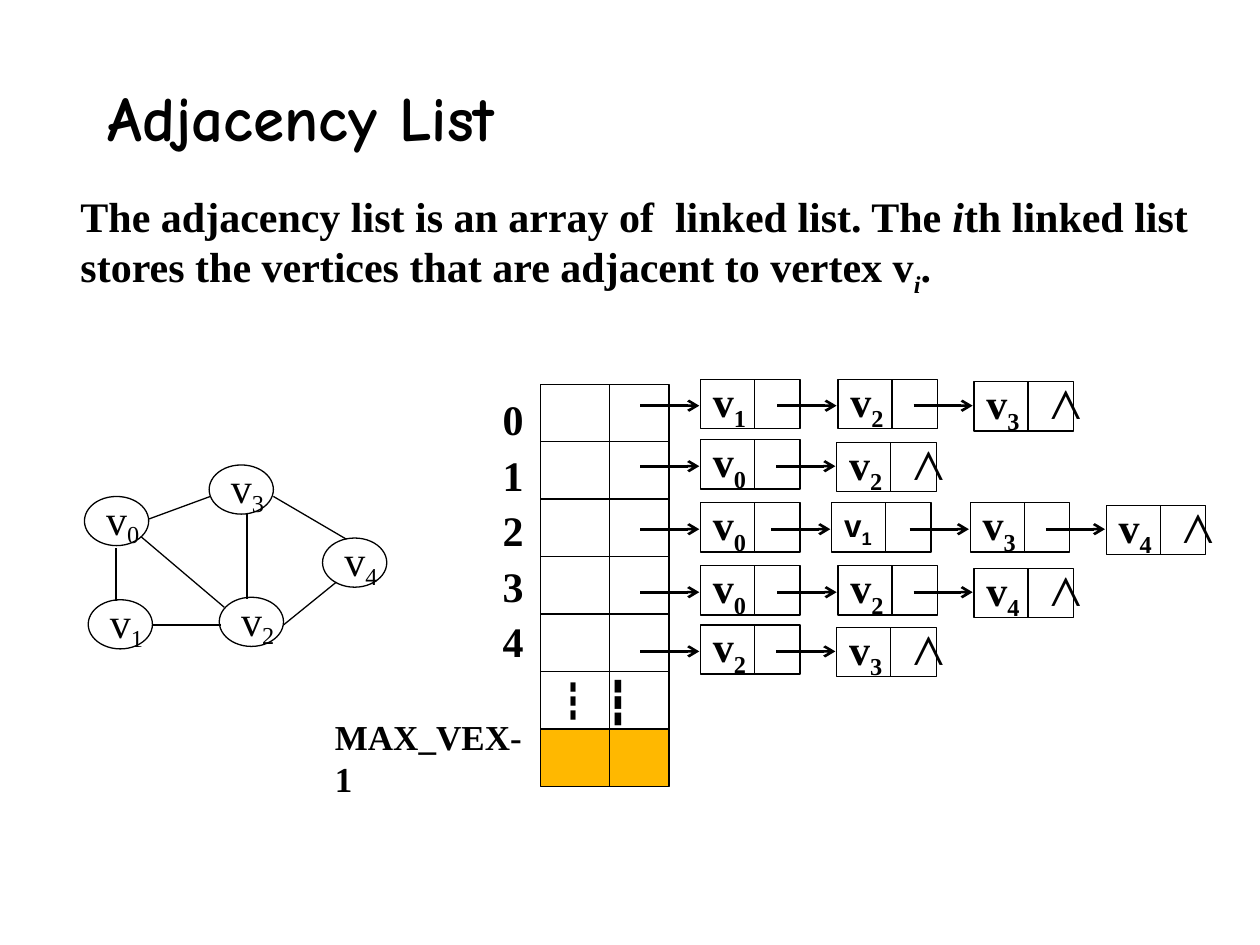
from lxml.etree import SubElement
from pptx import Presentation
from pptx.dml.color import RGBColor
from pptx.enum.shapes import MSO_CONNECTOR, MSO_SHAPE
from pptx.enum.text import MSO_ANCHOR, MSO_AUTO_SIZE, PP_ALIGN
from pptx.oxml.ns import qn
from pptx.util import Inches, Pt

COLORS = {name: RGBColor.from_string(value) for name, value in
          {"ink": "000000", "last_slot": "FFB800"}.items()}
SERIF = "Times New Roman"

deck = Presentation()
deck.slide_width, deck.slide_height = Inches(10), Inches(7.5)
page = deck.slides.add_slide(deck.slide_layouts[5])


def add_line(x1, y1, x2, y2, weight=0.75, arrow=False):
    line = page.shapes.add_connector(
        MSO_CONNECTOR.STRAIGHT, Inches(x1), Inches(y1), Inches(x2), Inches(y2))
    line.line.color.rgb = COLORS["ink"]
    line.line.width = Pt(weight)
    if arrow:
        SubElement(line.line._get_or_add_ln(), qn("a:tailEnd"), type="arrow")
    SubElement(line._element.spPr, qn("a:effectLst"))


def add_box(kind, left, top, width, height, parts=(), size=24, font=SERIF, bold=True):
    """Add an outlined shape, or a text box if kind is None.

    Each part is (text, baseline shift in percent).
    """
    place = [Inches(value) for value in (left, top, width, height)]
    if kind is None:
        box = page.shapes.add_textbox(*place)
    else:
        box = page.shapes.add_shape(kind, *place)
        box.shadow.inherit = False
        box.fill.background()
        box.line.color.rgb = COLORS["ink"]
        box.line.width = Pt(0.75)
    frame = box.text_frame
    frame.word_wrap = False
    frame.vertical_anchor = MSO_ANCHOR.MIDDLE
    para = frame.paragraphs[0]
    para.alignment = PP_ALIGN.LEFT
    for text, shift in parts:
        span = para.add_run()
        span.text = text
        span.font.size, span.font.name, span.font.bold = Pt(size), font, bold
        span.font.color.rgb = COLORS["ink"]
        if shift:
            span._r.get_or_add_rPr().set("baseline", str(shift * 1000))
    return box


# Title and definition
title = page.shapes.title
title.left, title.top, title.width, title.height = (
    Inches(value) for value in (0.04, 0.52, 4.7, 0.75))
title.text_frame.text = "Adjacency List"
title.text_frame.auto_size = MSO_AUTO_SIZE.NONE
title.text_frame.vertical_anchor = MSO_ANCHOR.BOTTOM
para = title.text_frame.paragraphs[0]
para.alignment = PP_ALIGN.CENTER
para.font.name, para.font.size, para.font.bold = "Comic Neue", Pt(36), True
para.font.color.rgb = COLORS["ink"]

definition = add_box(None, 0.54, 1.46, 8.99, 0.91, [
    ("The adjacency list is an array of  linked list. The ", 0), ("i", 0),
    ("th linked list stores the vertices that are adjacent to vertex v", 0),
    ("i", -25), (".", 0)])
definition.text_frame.word_wrap = True
definition.text_frame.vertical_anchor = MSO_ANCHOR.TOP
for span in definition.text_frame.paragraphs[0].runs:
    span.font.italic = span.text == "i"

# Graph
vertices = [(0.67, 3.94), (0.7, 4.76), (1.74, 4.74), (1.66, 3.69), (2.56, 4.27)]
for number, (left, top) in enumerate(vertices):
    add_box(MSO_SHAPE.OVAL, left, top, 0.51, 0.39,
            [("v", 0), (str(number), -20)], bold=False)
edges = [
    (0.92, 4.35, 0.92, 4.77, 1.5),
    (1.96, 4.08, 1.96, 4.75, 1.5),
    (1.12, 4.26, 1.78, 4.82),
    (1.18, 4.12, 1.67, 3.94),
    (1.21, 4.96, 1.75, 4.96),
    (2.17, 3.94, 2.75, 4.28),
    (2.25, 4.96, 2.67, 4.62),
]
for edge in edges:
    add_line(*edge)

# Array of list heads with its indices
indices = add_box(None, 3.89, 3.03, 0.39, 2.31).text_frame
for number in range(5):
    para = indices.add_paragraph() if number else indices.paragraphs[0]
    para.text = str(number)
    para.line_spacing = 1.1
    para.font.name, para.font.size, para.font.bold = SERIF, Pt(24), True
    para.font.color.rgb = COLORS["ink"]
add_box(None, 2.56, 5.82, 1.73, 0.39, [("MAX_VEX-1", 0)], size=20)

SLOT_HEIGHT = 0.456
for slot in range(7):
    top = 3.05 + slot * SLOT_HEIGHT
    dots = [("┇", 0), (" ┇", 0)] if slot == 5 else []
    box = add_box(MSO_SHAPE.RECTANGLE, 4.29, top, 1.02, SLOT_HEIGHT, dots)
    if dots:
        box.text_frame.paragraphs[0].runs[0].font.name = "Noto Sans CJK SC"
    if slot == 6:
        box.fill.solid()
        box.fill.fore_color.rgb = COLORS["last_slot"]
    add_line(4.84, top, 4.84, top + SLOT_HEIGHT)

# Linked lists: top of the row, then (left, vertex) of each node
linked_lists = [
    (3.01, [(5.56, 1), (6.65, 2), (7.73, 3)]),
    (3.49, [(5.56, 0), (6.64, 2)]),
    (3.99, [(5.56, 0), (6.6, 1), (7.7, 3), (8.78, 4)]),
    (4.49, [(5.56, 0), (6.65, 2), (7.73, 4)]),
    (4.96, [(5.56, 2), (6.64, 3)]),
]
for row, (top, nodes) in enumerate(linked_lists):
    for position, (left, vertex) in enumerate(nodes):
        is_last = position == len(nodes) - 1
        node_top = top + 0.02 if is_last else top
        parts = [("v", 0), (str(vertex), -25)]
        if is_last:
            parts.append(("\t⋀", 0))
        style = {"size": 18, "font": "Arial"} if (row, position) == (2, 1) else {}
        node = add_box(MSO_SHAPE.RECTANGLE, left, node_top, 0.79, 0.39, parts, **style)
        if is_last:
            para = node.text_frame.paragraphs[0]
            tabs = SubElement(para._p.get_or_add_pPr(), qn("a:tabLst"))
            SubElement(tabs, qn("a:tab"), pos=str(Inches(0.51)), algn="l")
            para.runs[-1].font.bold = False
        add_line(left + 0.43, node_top, left + 0.43, node_top + 0.39)
        add_line(left - 0.48, top + 0.21, left - 0.01, top + 0.21, 1.5, arrow=True)

deck.save("out.pptx")
